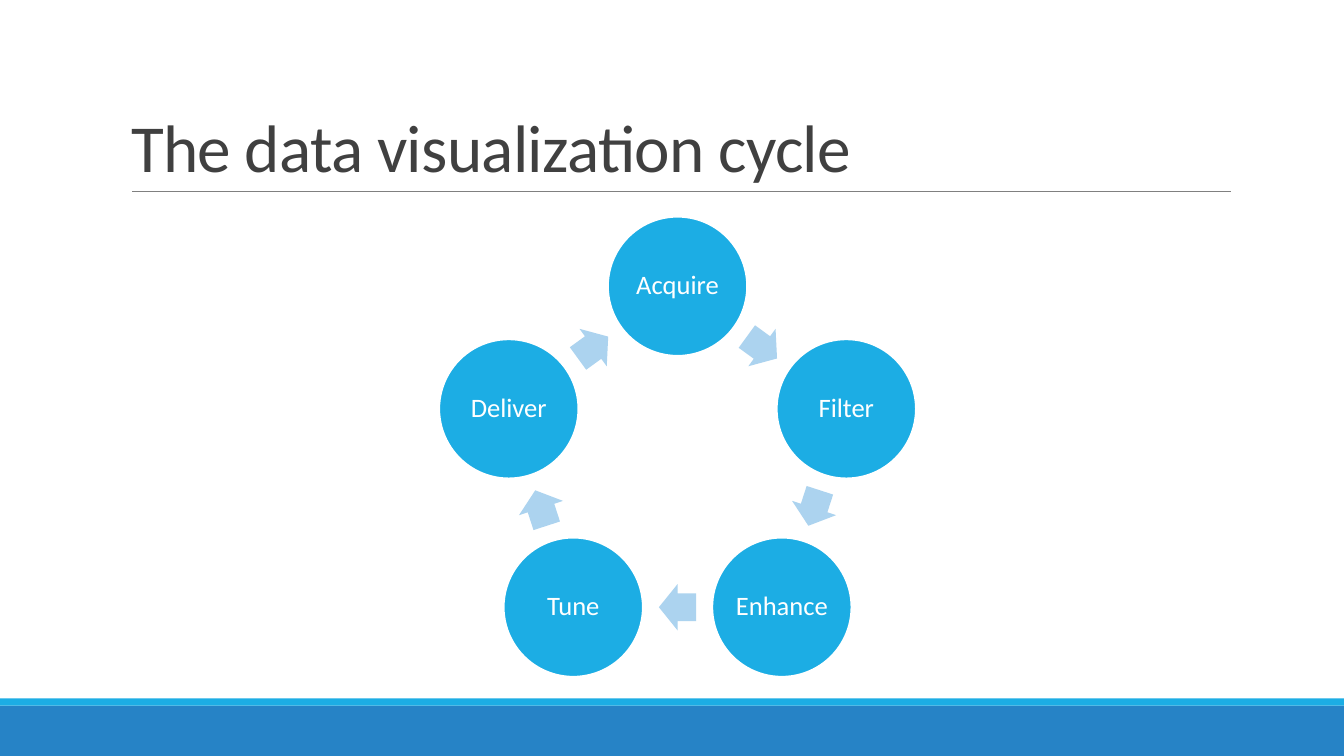
from dataclasses import dataclass
from math import cos, pi, radians, sin

from lxml.etree import SubElement
from pptx import Presentation
from pptx.dml.color import RGBColor
from pptx.enum.shapes import MSO_CONNECTOR as Connector, MSO_SHAPE as Preset
from pptx.enum.text import MSO_ANCHOR as Anchor, PP_ALIGN as Align
from pptx.oxml.ns import qn
from pptx.shapes.autoshape import Shape
from pptx.slide import Slide
from pptx.util import Inches, Pt


@dataclass(frozen=True)
class Theme:
    font: str = "Calibri"
    title_size: float = 48
    stage_size: float = 19
    ink: str = "404040"
    white: str = "FFFFFF"
    rule: str = "808080"
    accent: str = "1CADE4"
    footer: str = "2683C6"
    arrow: str = "ACD3EF"


@dataclass(frozen=True)
class Box:
    left: float
    top: float
    width: float
    height: float


@dataclass(frozen=True)
class Band:
    box: Box
    color: str


@dataclass(frozen=True)
class Ring:
    x: float
    y: float
    radius: float

    def box_at(self, angle: float, radius: float, width: float, height: float) -> Box:
        x = self.x + radius * sin(radians(angle))
        y = self.y - radius * cos(radians(angle))
        return Box(x - width / 2, y - height / 2, width, height)


THEME = Theme()
BANDS = [
    Band(Box(0, 7, 13.33, 0.5), THEME.footer),
    Band(Box(0, 6.93, 13.33, 0.07), THEME.accent),
]
STAGES = ["Acquire", "Filter", "Enhance", "Tune", "Deliver"]
RING = Ring(6.72, 4.6, 1.76)
DIAMETER = 1.38


def color(value: str) -> RGBColor:
    return RGBColor.from_string(value)


def add_filled(slide: Slide, preset: Preset, box: Box, fill: str) -> Shape:
    shape = slide.shapes.add_shape(
        preset, Inches(box.left), Inches(box.top), Inches(box.width), Inches(box.height)
    )
    shape.shadow.inherit = False
    shape.fill.solid()
    shape.fill.fore_color.rgb = color(fill)
    shape.line.fill.background()
    return shape


def add_title(slide: Slide, text: str) -> None:
    title = slide.shapes.title
    title.left, title.top = Inches(1.2), Inches(0.31)
    title.width, title.height = Inches(11), Inches(1.59)
    frame = title.text_frame
    frame.text = text
    frame.word_wrap = True
    frame.vertical_anchor = Anchor.BOTTOM
    heading = frame.paragraphs[0]
    heading.alignment = Align.LEFT
    heading.line_spacing = 0.85
    heading.font.name = THEME.font
    heading.font.size = Pt(THEME.title_size)
    heading.font.color.rgb = color(THEME.ink)
    heading.runs[0].font._element.set("spc", "-50")


def add_title_rule(slide: Slide) -> None:
    rule = slide.shapes.add_connector(
        Connector.STRAIGHT, Inches(1.31), Inches(1.9), Inches(12.21), Inches(1.9)
    )
    rule.line.color.rgb = color(THEME.rule)
    rule.line.width = Pt(0.5)
    SubElement(rule._element.spPr, qn("a:effectLst"))


def add_stage(slide: Slide, name: str, angle: float) -> None:
    box = RING.box_at(angle, RING.radius, DIAMETER, DIAMETER)
    circle = add_filled(slide, Preset.OVAL, box, THEME.accent)
    circle.line.color.rgb = color(THEME.white)
    circle.line.width = Pt(1.25)
    frame = circle.text_frame
    frame.text = name
    frame.word_wrap = False
    frame.vertical_anchor = Anchor.MIDDLE
    frame.margin_left = frame.margin_right = Inches(0.03)
    frame.margin_top = frame.margin_bottom = Inches(0.03)
    label = frame.paragraphs[0]
    label.alignment = Align.CENTER
    label.line_spacing = 0.9
    label.font.name = THEME.font
    label.font.size = Pt(THEME.stage_size)
    label.font.color.rgb = color(THEME.white)


def add_arrow(slide: Slide, angle: float) -> None:
    apothem = RING.radius * cos(pi / len(STAGES))
    box = RING.box_at(angle, apothem, 0.37, 0.46)
    arrow = add_filled(slide, Preset.RIGHT_ARROW, box, THEME.arrow)
    arrow.adjustments[0] = 0.6
    arrow.adjustments[1] = 0.5
    arrow.rotation = angle


def main() -> None:
    deck = Presentation()
    deck.slide_width, deck.slide_height = Inches(13.33), Inches(7.5)
    slide = deck.slides.add_slide(deck.slide_layouts.get_by_name("Title Only"))
    for band in BANDS:
        add_filled(slide, Preset.RECTANGLE, band.box, band.color)
    add_title_rule(slide)
    add_title(slide, "The data visualization cycle")
    step = 360 / len(STAGES)
    for index, name in enumerate(STAGES):
        add_stage(slide, name, index * step)
        add_arrow(slide, (index + 0.5) * step)
    deck.save("out.pptx")


if __name__ == "__main__":
    main()
